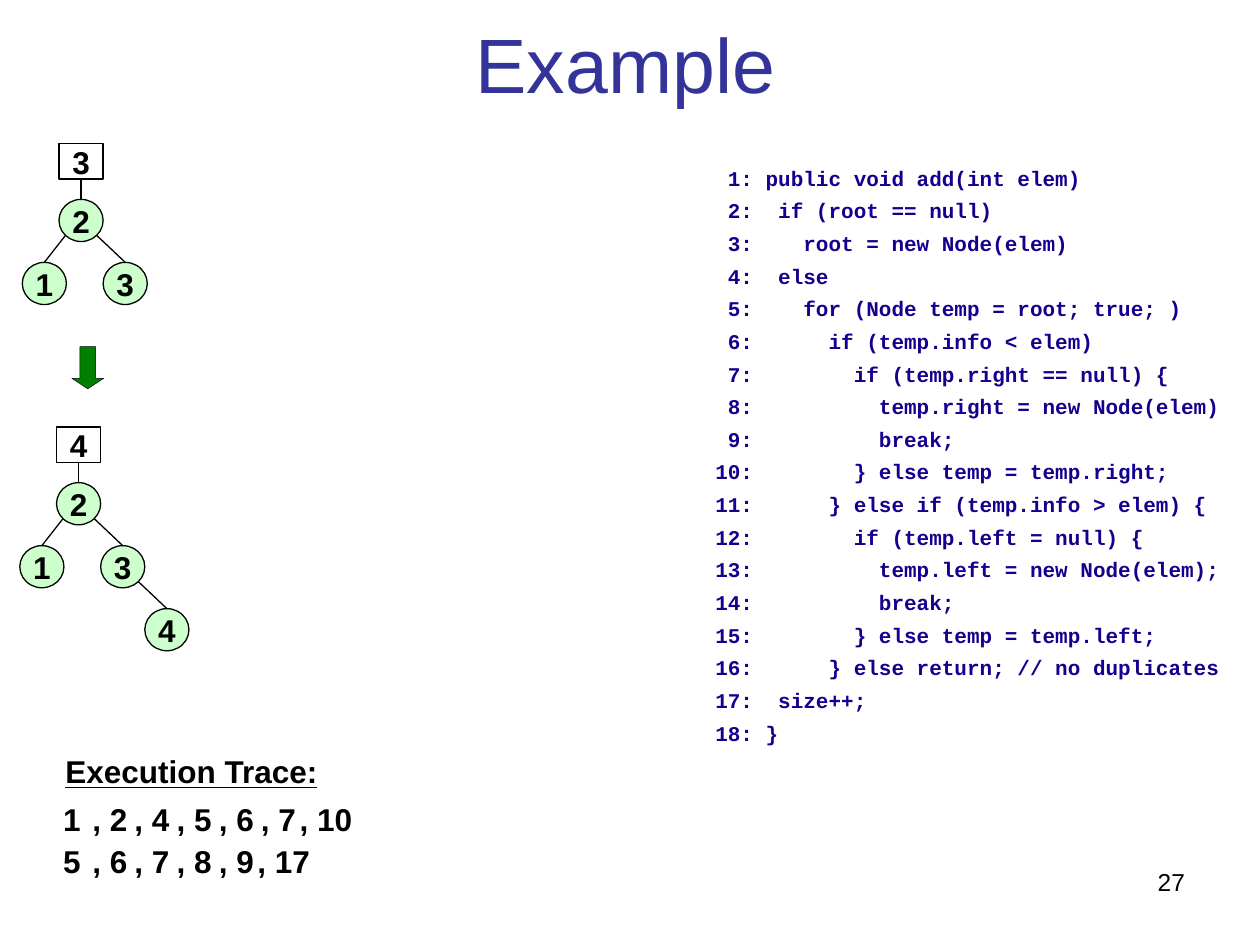
"""Build the slide that traces adding an element to a binary search tree."""
from lxml import etree
from pptx import Presentation
from pptx.dml.color import RGBColor
from pptx.enum.shapes import MSO_CONNECTOR, MSO_SHAPE
from pptx.enum.text import MSO_ANCHOR, MSO_AUTO_SIZE, PP_ALIGN
from pptx.oxml.ns import qn
from pptx.util import Cm, Pt

LEFT, CENTER, RIGHT = PP_ALIGN.LEFT, PP_ALIGN.CENTER, PP_ALIGN.RIGHT
TOP, MIDDLE = MSO_ANCHOR.TOP, MSO_ANCHOR.MIDDLE
NO_AUTOFIT = MSO_AUTO_SIZE.NONE
RECTANGLE, OVAL, DOWN_ARROW = MSO_SHAPE.RECTANGLE, MSO_SHAPE.OVAL, MSO_SHAPE.DOWN_ARROW
STRAIGHT = MSO_CONNECTOR.STRAIGHT

COLORS = {
    "title": "333399",
    "code": "14008E",
    "text": "000000",
    "node": "CCFFCC",
    "arrow": "008000",
}

CODE = [
    "public void add(int elem)",
    " if (root == null)",
    "   root = new Node(elem)",
    " else",
    "   for (Node temp = root; true; )",
    "     if (temp.info < elem)",
    "       if (temp.right == null) {",
    "         temp.right = new Node(elem)",
    "         break;",
    "       } else temp = temp.right;",
    "     } else if (temp.info > elem) {",
    "       if (temp.left = null) {",
    "         temp.left = new Node(elem);",
    "         break;",
    "       } else temp = temp.left;",
    "     } else return; // no duplicates",
    " size++;",
    "}",
]

TRACE = [
    [" 1", ", 2", ", 4", ", 5", ", 6", ", 7", ", 10"],
    [" 5", ", 6", ", 7", ", 8", ", 9", ", 17"],
]
TRACE_LEFT, TRACE_TOP, TRACE_STEP, TRACE_LAST = 0.94, 16.09, 0.85, 1.06

# Each tree: size label, root position, and edges as (parent, child, side).
TREES = [
    {"size": "3", "root": (1.19, 4.02), "edges": [("2", "1", -1), ("2", "3", 1)]},
    {"size": "4", "root": (1.14, 9.73),
     "edges": [("2", "1", -1), ("2", "3", 1), ("3", "4", 1)]},
]
ROOT = "2"
NODE_WIDTH, NODE_HEIGHT = 0.89, 0.85
SIZE_HEIGHT, SIZE_RISE = 0.71, 1.12
LEVEL_DROP = 1.27
CHILD_SHIFT = {-1: -0.74, 1: 0.89}
DIAGONAL = 0.5 ** 0.5


def color(name):
    return RGBColor.from_string(COLORS[name])


def write(shape, lines, size=18, font="Arial", fill="text", bold=True, underline=False,
          align=LEFT, anchor=TOP, wrap=True, spacing=None, before=0, margins=(0.25, 0.13)):
    frame = shape.text_frame
    frame.auto_size = NO_AUTOFIT
    frame.word_wrap = wrap
    frame.vertical_anchor = anchor
    frame.margin_left = frame.margin_right = Cm(margins[0])
    frame.margin_top = frame.margin_bottom = Cm(margins[1])
    for index, line in enumerate(lines):
        para = frame.add_paragraph() if index else frame.paragraphs[0]
        para.alignment = align
        para.space_before = Pt(before if index else 0)
        if spacing:
            para.line_spacing = spacing
        span = para.add_run()
        span.text = line
        span.font.name = font
        span.font.size = Pt(size)
        span.font.bold = bold
        span.font.underline = underline
        span.font.color.rgb = color(fill)


def add_text(page, lines, left, top, width, height, **style):
    box = page.shapes.add_textbox(Cm(left), Cm(top), Cm(width), Cm(height))
    write(box, lines, **style)


def add_outlined(page, kind, left, top, width, height, fill=None, weight=0.75):
    shape = page.shapes.add_shape(kind, Cm(left), Cm(top), Cm(width), Cm(height))
    shape.shadow.inherit = False
    if fill:
        shape.fill.solid()
        shape.fill.fore_color.rgb = color(fill)
    else:
        shape.fill.background()
    shape.line.color.rgb = color("text")
    shape.line.width = Pt(weight)
    return shape


def add_labelled(page, kind, label, left, top, height, fill=None):
    shape = add_outlined(page, kind, left, top, NODE_WIDTH, height, fill)
    write(shape, [label], align=CENTER, anchor=MIDDLE, wrap=False)
    return shape


def add_edge(page, child, start=(0, 0), parent=None):
    edge = page.shapes.add_connector(STRAIGHT, Cm(start[0]), Cm(start[1]), child.left, child.top)
    if parent is not None:
        edge.begin_connect(parent, 2)
    edge.end_connect(child, 0)
    edge.line.color.rgb = color("text")
    edge.line.width = Pt(0.75)
    etree.SubElement(edge.element.spPr, qn("a:effectLst"))


def add_tree(page, tree):
    left, top = tree["root"]
    size_box = add_labelled(page, RECTANGLE, tree["size"], left, top - SIZE_RISE, SIZE_HEIGHT)
    root = add_labelled(page, OVAL, ROOT, left, top, NODE_HEIGHT, "node")
    add_edge(page, root, parent=size_box)
    places = {ROOT: (left, top)}
    for parent, label, side in tree["edges"]:
        left, top = places[parent]
        start = (left + NODE_WIDTH / 2 * (1 + side * DIAGONAL),
                 top + NODE_HEIGHT / 2 * (1 + DIAGONAL))
        places[label] = left + CHILD_SHIFT[side], top + LEVEL_DROP
        child = add_labelled(page, OVAL, label, *places[label], NODE_HEIGHT, "node")
        add_edge(page, child, start)


def add_trace(page):
    add_text(page, ["Execution Trace:"], 1.07, 15.04, 6.99, 1.02, underline=True)
    for row, steps in enumerate(TRACE):
        for column, step in enumerate(steps):
            width = TRACE_LAST if column == len(steps) - 1 else TRACE_STEP
            add_text(page, [step], TRACE_LEFT + column * TRACE_STEP,
                     TRACE_TOP + row * TRACE_STEP, width, TRACE_STEP,
                     align=CENTER, anchor=MIDDLE, wrap=False)


def main():
    deck = Presentation()
    deck.slide_width, deck.slide_height = Cm(25.4), Cm(19.05)
    page = deck.slides.add_slide(deck.slide_layouts[5])

    title = page.shapes.title
    title.left, title.top, title.width, title.height = Cm(0.43), Cm(0.18), Cm(24.36), Cm(2.06)
    write(title, ["Example"], size=44, fill="title", bold=False, align=CENTER,
          anchor=MIDDLE, spacing=1.06, margins=(0, 0))

    add_trace(page)
    numbered = [f"{number:2}: {line}" for number, line in enumerate(CODE, 1)]
    add_text(page, numbered, 14.17, 3.38, 11, 11.76, size=12, font="Courier New",
             fill="code", spacing=0.6, before=10)

    for tree in TREES:
        add_tree(page, tree)
    arrow = add_outlined(page, DOWN_ARROW, 1.45, 6.99, 0.64, 0.85, "arrow", 0.25)
    arrow.adjustments[0], arrow.adjustments[1] = 0.5, 0.33

    add_text(page, ["27"], 18.21, 17.35, 5.93, 1.32, size=14, bold=False, align=RIGHT)
    deck.save("out.pptx")


if __name__ == "__main__":
    main()
